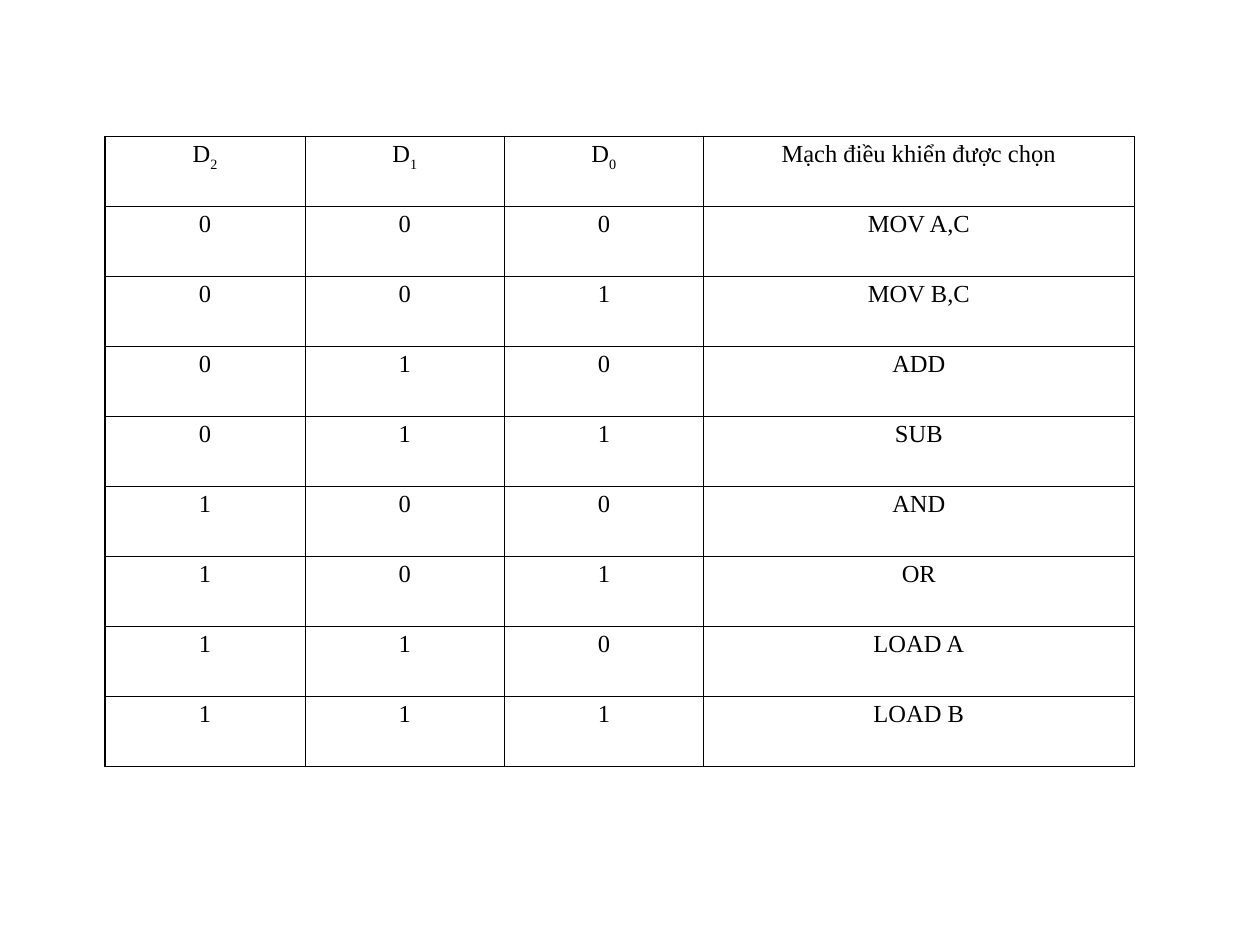
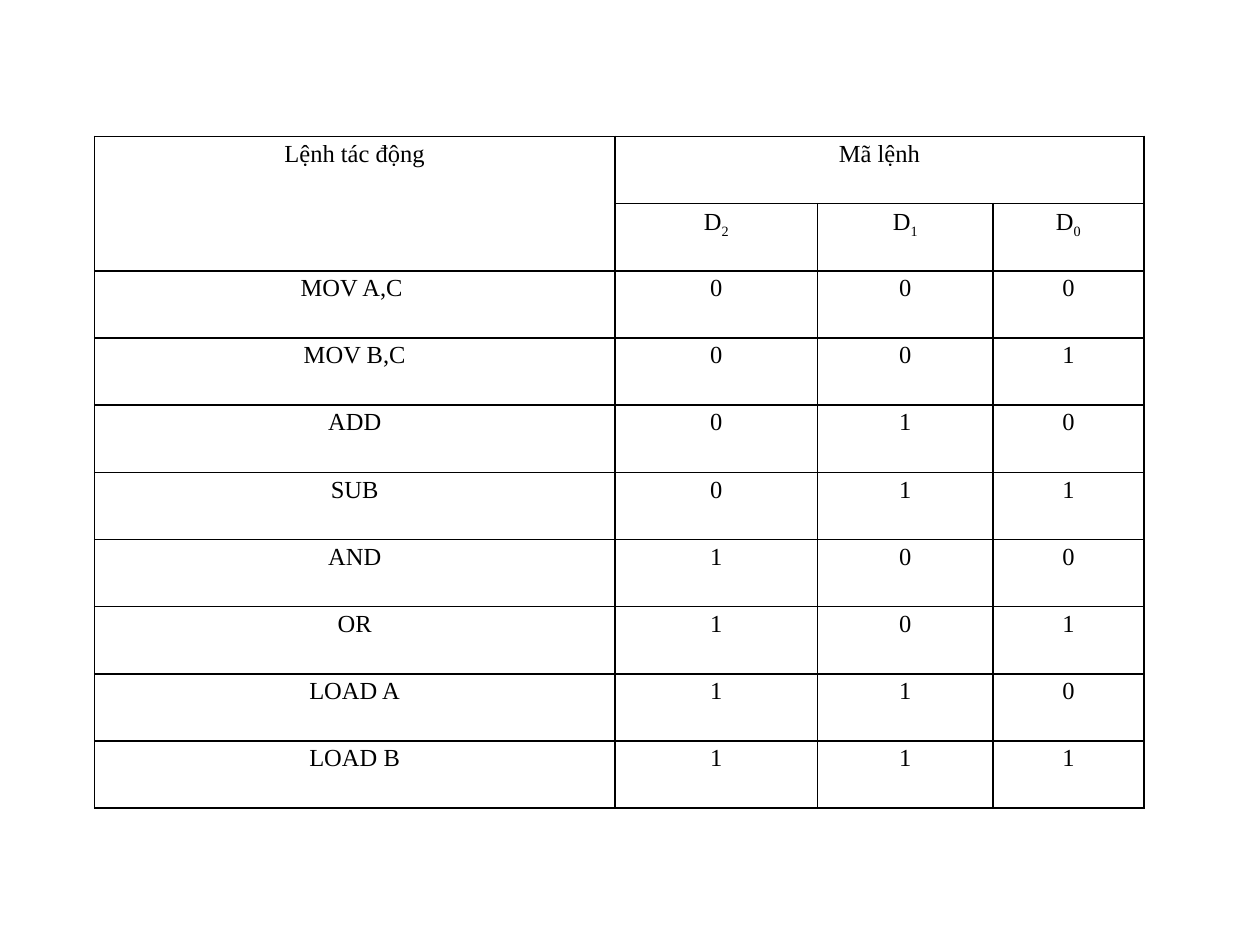
from lxml import etree
from pptx import Presentation
from pptx import util as u
from pptx.dml.color import RGBColor
from pptx.enum import text
from pptx.oxml import ns

COLORS = {"ink": "000000"}
FONT = "Times New Roman"
SLIDE_W, SLIDE_H = u.Inches(10), u.Inches(7.5)
TABLE_TOP = 14.44
BITS = ["D_2", "D_1", "D_0"]
COMMANDS = ["MOV A,C", "MOV B,C", "ADD", "SUB", "AND", "OR", "LOAD A", "LOAD B"]


def across(percent):
    return round(SLIDE_W * percent / 100)


def down(percent):
    return round(SLIDE_H * percent / 100)


def opcode(number):
    return list(f"{number:03b}")


def add_borders(cell):
    properties = cell._tc.get_or_add_tcPr()
    for position, side in enumerate(("lnL", "lnR", "lnT", "lnB")):
        border = etree.Element(ns.qn(f"a:{side}"), w=str(u.Pt(1)))
        fill = etree.SubElement(border, ns.qn("a:solidFill"))
        etree.SubElement(fill, ns.qn("a:srgbClr"), val=COLORS["ink"])
        properties.insert(position, border)


def write_label(cell, label):
    base, _, subscript = label.partition("_")
    cell.text_frame.text = base
    paragraph = cell.text_frame.paragraphs[0]
    paragraph.alignment = text.PP_ALIGN.CENTER
    paragraph.line_spacing = 1.15
    indent = paragraph._p.get_or_add_pPr()
    indent.set("marL", str(u.Inches(0.12)))
    indent.set("indent", str(u.Inches(-0.12)))
    if subscript:
        index = paragraph.add_run()
        index.text = subscript
        index._r.get_or_add_rPr().set("baseline", "-25000")
    for run in paragraph.runs:
        run.font.name = FONT
        run.font.size = u.Pt(14)
        run.font.color.rgb = RGBColor.from_string(COLORS["ink"])


def style_cell(cell):
    cell.margin_left = cell.margin_right = u.Inches(0.07)
    cell.margin_top = cell.margin_bottom = 0
    cell.fill.background()
    add_borders(cell)


def add_code_table(slide, left, height, column_shares, rows, merges=()):
    frame = slide.shapes.add_table(
        len(rows), len(column_shares), across(left), down(TABLE_TOP),
        across(sum(column_shares)), down(height))
    table = frame.table
    table.first_row = table.horz_banding = False
    for column, share in zip(table.columns, column_shares):
        column.width = across(share)
    for row in table.rows:
        row.height = down(height / len(rows))
    for first, last in merges:
        table.cell(*first).merge(table.cell(*last))
    for row_number, labels in enumerate(rows):
        for column_number, label in enumerate(labels):
            cell = table.cell(row_number, column_number)
            style_cell(cell)
            if label:
                write_label(cell, label)


def add_decoder_slide(slide):
    rows = [BITS + ["Mạch điều khiển được chọn"]]
    rows += [opcode(number) + [command] for number, command in enumerate(COMMANDS)]
    add_code_table(slide, 8.33, 66.67, (15.9, 15.8, 15.8, 34.2), rows)


def add_instruction_slide(slide):
    rows = [["Lệnh tác động", "Mã lệnh", "", ""], [""] + BITS]
    rows += [[command] + opcode(number) for number, command in enumerate(COMMANDS)]
    rows[2][0] += " "
    merges = [((0, 0), (1, 0)), ((0, 1), (0, 3))]
    add_code_table(slide, 7.5, 71.11, (41.3, 16.1, 13.9, 12), rows, merges)


def main():
    deck = Presentation()
    deck.slide_width, deck.slide_height = SLIDE_W, SLIDE_H
    blank = deck.slide_layouts[6]
    for build in (add_decoder_slide, add_instruction_slide):
        build(deck.slides.add_slide(blank))
    deck.save("out.pptx")


if __name__ == "__main__":
    main()
